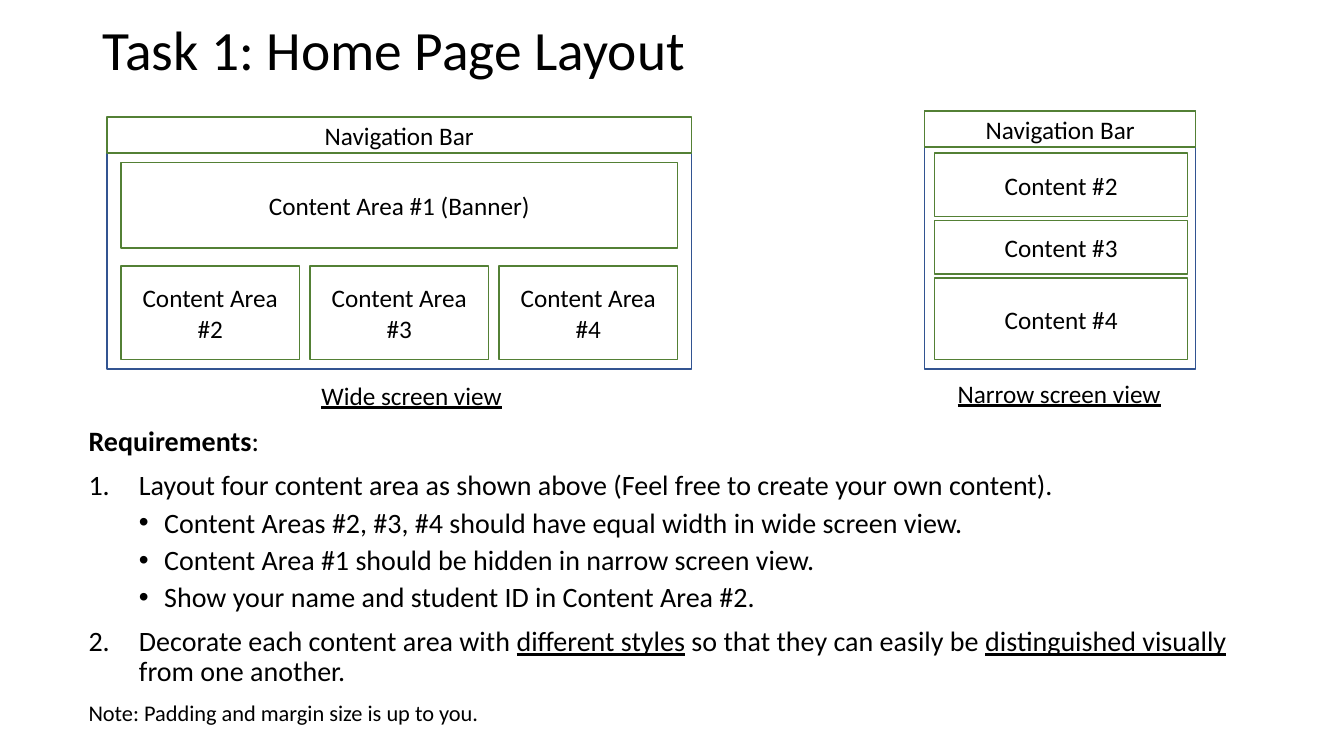
"""Build the slide that sets the home page layout task."""
from dataclasses import dataclass

from lxml.etree import SubElement
from pptx import Presentation
from pptx.dml.color import RGBColor
from pptx.enum.shapes import MSO_SHAPE
from pptx.enum.text import MSO_ANCHOR, PP_ALIGN
from pptx.oxml.ns import qn
from pptx.util import Inches, Pt


@dataclass(frozen=True)
class Theme:
    font: str = "Calibri"
    ink: RGBColor = RGBColor.from_string("000000")
    paper: RGBColor = RGBColor.from_string("FFFFFF")
    screen_edge: RGBColor = RGBColor.from_string("325491")
    area_edge: RGBColor = RGBColor.from_string("538035")
    title_size: float = 39.6
    body_size: float = 20
    label_size: float = 18
    note_size: float = 16


theme = Theme()


def write(paragraph, text, size=theme.label_size, bold=False, underline=False):
    run = paragraph.add_run()
    run.text = text
    run.font.name = theme.font
    run.font.size = Pt(size)
    run.font.bold = bold
    run.font.underline = underline
    run.font.color.rgb = theme.ink


def draw_area(left, top, width, height, label="", edge=theme.area_edge):
    area = slide.shapes.add_shape(
        MSO_SHAPE.RECTANGLE, Inches(left), Inches(top), Inches(width), Inches(height))
    area.shadow.inherit = False
    area.fill.solid()
    area.fill.fore_color.rgb = theme.paper
    area.line.color.rgb = edge
    area.line.width = Pt(1)
    if label:
        area.text_frame.word_wrap = True
        area.text_frame.vertical_anchor = MSO_ANCHOR.MIDDLE
        area.text_frame.paragraphs[0].alignment = PP_ALIGN.CENTER
        write(area.text_frame.paragraphs[0], label)


deck = Presentation()
deck.slide_width, deck.slide_height = Inches(13.33), Inches(7.5)
slide = deck.slides.add_slide(deck.slide_layouts[6])

title = slide.shapes.add_textbox(Inches(0.92), Inches(0.2), Inches(11.5), Inches(0.65)).text_frame
title.word_wrap = True
title.vertical_anchor = MSO_ANCHOR.MIDDLE
title.paragraphs[0].line_spacing = 0.9
write(title.paragraphs[0], "Task 1: Home Page Layout", size=theme.title_size)

banner_left, banner_width, column_width = 1.2, 5.52, 1.77
column_step = (banner_width - column_width) / 2
draw_area(1.06, 1.19, 5.8, 2.47, edge=theme.screen_edge)
draw_area(1.06, 1.16, 5.8, 0.36, "Navigation Bar")
draw_area(banner_left, 1.61, banner_width, 0.85, "Content Area #1 (Banner)")
for column in range(3):
    draw_area(banner_left + column * column_step, 2.64, column_width, 0.93,
              f"Content Area #{column + 2}")

draw_area(9.17, 1.1, 2.69, 2.56, edge=theme.screen_edge)
draw_area(9.17, 1.1, 2.69, 0.36, "Navigation Bar")
row_top, row_gap = 1.52, 0.04
for number, row_height in enumerate((0.63, 0.53, 0.81), start=2):
    draw_area(9.27, row_top, 2.51, row_height, f"Content #{number}")
    row_top += row_height + row_gap

for view, left, top, width in (
    ("Wide screen view", 3.09, 3.72, 2.01),
    ("Narrow screen view", 9.4, 3.7, 2.24),
):
    caption = slide.shapes.add_textbox(Inches(left), Inches(top), Inches(width), Inches(0.4))
    caption.text_frame.word_wrap = False
    write(caption.text_frame.paragraphs[0], view, underline=True)

NUMBER = ("a:buAutoNum", {"type": "arabicPeriod"}, 0, 0.5, -0.5, 10)
BULLET = ("a:buChar", {"char": "•"}, 1, 0.75, -0.25, 5)
PLAIN = ("a:buNone", {}, 0, 0, 0, 10)
underlined = {"underline": True}
requirements = (
    (PLAIN, [("Requirements", {"bold": True}), (":", {})]),
    (NUMBER, [("Layout four content area as shown above "
               "(Feel free to create your own content).", {})]),
    (BULLET, [("Content Areas #2, #3, #4 should have equal width in wide screen view.", {})]),
    (BULLET, [("Content Area #1 should be hidden in narrow screen view.", {})]),
    (BULLET, [("Show your name and student ID in Content Area #2.", {})]),
    (NUMBER, [("Decorate each content area with ", {}), ("different styles", underlined),
              (" so that they can easily be ", {}), ("distinguished visually", underlined),
              (" from one another.", {})]),
    (PLAIN, [("Note: Padding and margin size is up to you.", {"size": theme.note_size})]),
)
body = slide.shapes.add_textbox(Inches(0.78), Inches(4.19), Inches(12.05), Inches(3.12)).text_frame
body.word_wrap = True
for position, (marker, pieces) in enumerate(requirements):
    item = body.add_paragraph() if position else body.paragraphs[0]
    tag, attributes, item.level, margin, indent, space = marker
    item.line_spacing = 0.9
    item.space_before = Pt(space)
    properties = item._p.get_or_add_pPr()
    properties.set("marL", str(Inches(margin)))
    properties.set("indent", str(Inches(indent)))
    if marker is BULLET:
        SubElement(properties, qn("a:buFont"), typeface="Arial")
    SubElement(properties, qn(tag), attributes)
    for text, style in pieces:
        write(item, text, **{"size": theme.body_size, **style})

deck.save("out.pptx")
